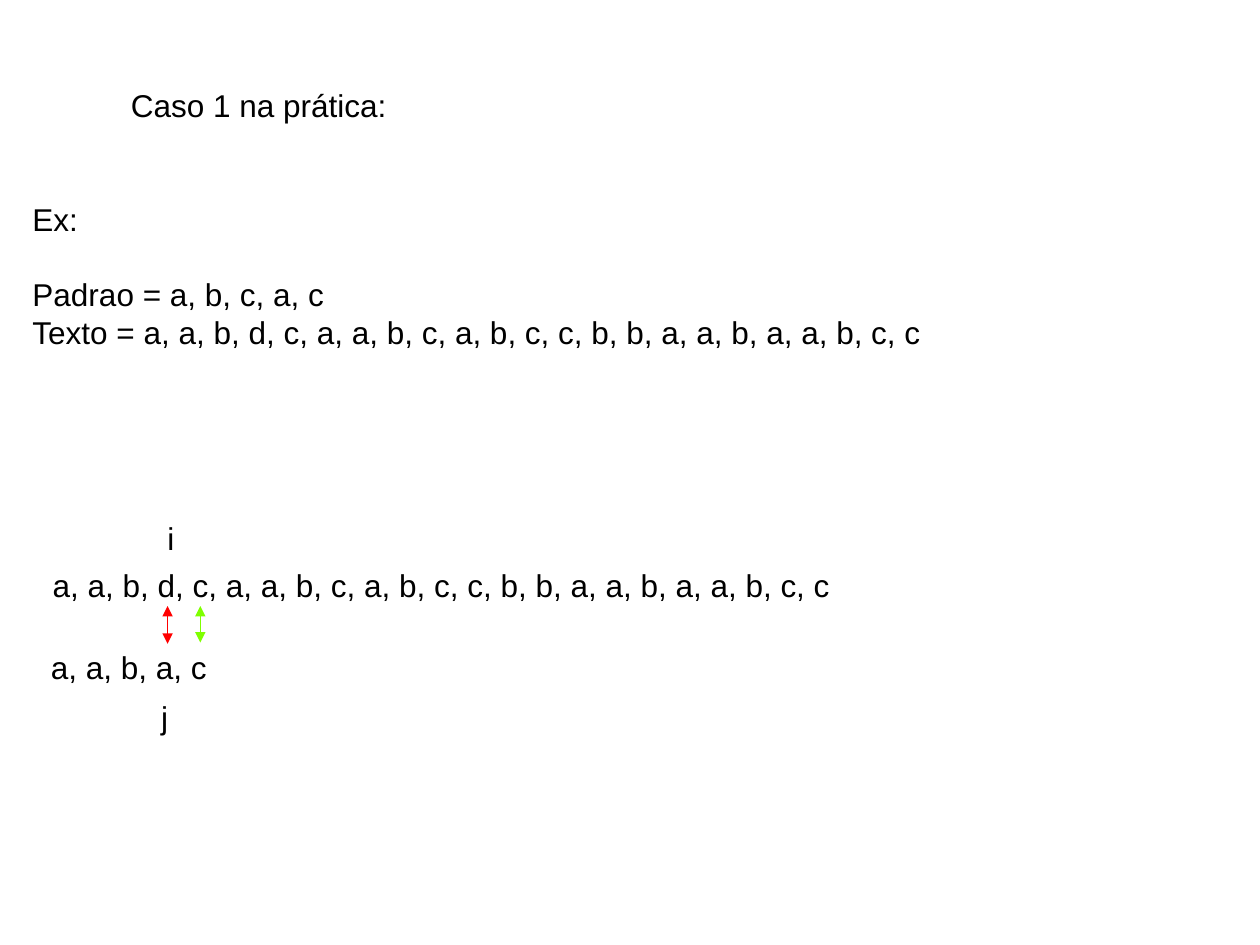
"""Build the slide that shows case 1 of pattern matching in practice."""
from lxml.etree import SubElement
from pptx import Presentation
from pptx.dml.color import RGBColor as Rgb
from pptx.enum.shapes import MSO_CONNECTOR as Conn
from pptx.enum.text import PP_ALIGN as Align
from pptx.oxml.ns import qn
from pptx.util import Inches, Pt

THEME = {"font": "Arial", "size": 18, "gap": 21, "line": 0.75,
         "ink": "000000", "miss": "FF0000", "hit": "7FFF00"}

SEQ = "a, a, b, d, c, a, a, b, c, a, b, c, c, b, b, a, a, b, a, a, b, c, c"

TEXTS = [
    (["Caso 1 na prática:"], (0.94, 0.63, 6.04, 0.43), {}),
    (["Ex:", "Padrao = a, b, c, a, c", f"Texto = {SEQ}"],
     (0.16, 1.54, 7.6, 1.21), {"gaps": {1: THEME["gap"]}}),
    (["i"], (1.23, 4.07, 0.39, 0.4), {}),
    (["j"], (1.18, 5.49, 0.27, 0.4), {}),
    ([SEQ], (0.32, 4.44, 6.38, 0.4), {"wrap": False}),
    (["a, a, b, a, c"], (0.3, 5.09, 1.44, 0.4),
     {"wrap": False, "align": Align.RIGHT}),
]

ARROWS = [(1.59, 5.1, 4.81, "hit"), (1.33, 5.11, 4.81, "miss")]


def add_text(slide, lines, box, wrap=True, align=Align.LEFT, gaps={}):
    frame = slide.shapes.add_textbox(*map(Inches, box)).text_frame
    frame.word_wrap = wrap
    for row, text in enumerate(lines):
        para = frame.add_paragraph() if row else frame.paragraphs[0]
        para.alignment = align
        para.space_before = Pt(gaps.get(row, 0))
        run = para.add_run()
        run.text = text
        run.font.name = THEME["font"]
        run.font.size = Pt(THEME["size"])
        run.font.color.rgb = Rgb.from_string(THEME["ink"])


def add_arrow(slide, x, low, high, tone):
    arrow = slide.shapes.add_connector(
        Conn.STRAIGHT, *map(Inches, (x, low, x, high)))
    arrow.line.width = Pt(THEME["line"])
    arrow.line.color.rgb = Rgb.from_string(THEME[tone])
    props = arrow._element.spPr
    for end in ("a:headEnd", "a:tailEnd"):
        SubElement(props.find(qn("a:ln")), qn(end), type="triangle")
    SubElement(props, qn("a:effectLst"))


def main():
    deck = Presentation()
    deck.slide_width, deck.slide_height = Inches(10), Inches(7.5)
    slide = deck.slides.add_slide(deck.slide_layouts[6])
    for arrow in ARROWS:
        add_arrow(slide, *arrow)
    for lines, box, style in TEXTS:
        add_text(slide, lines, box, **style)
    deck.save("out.pptx")


if __name__ == "__main__":
    main()
